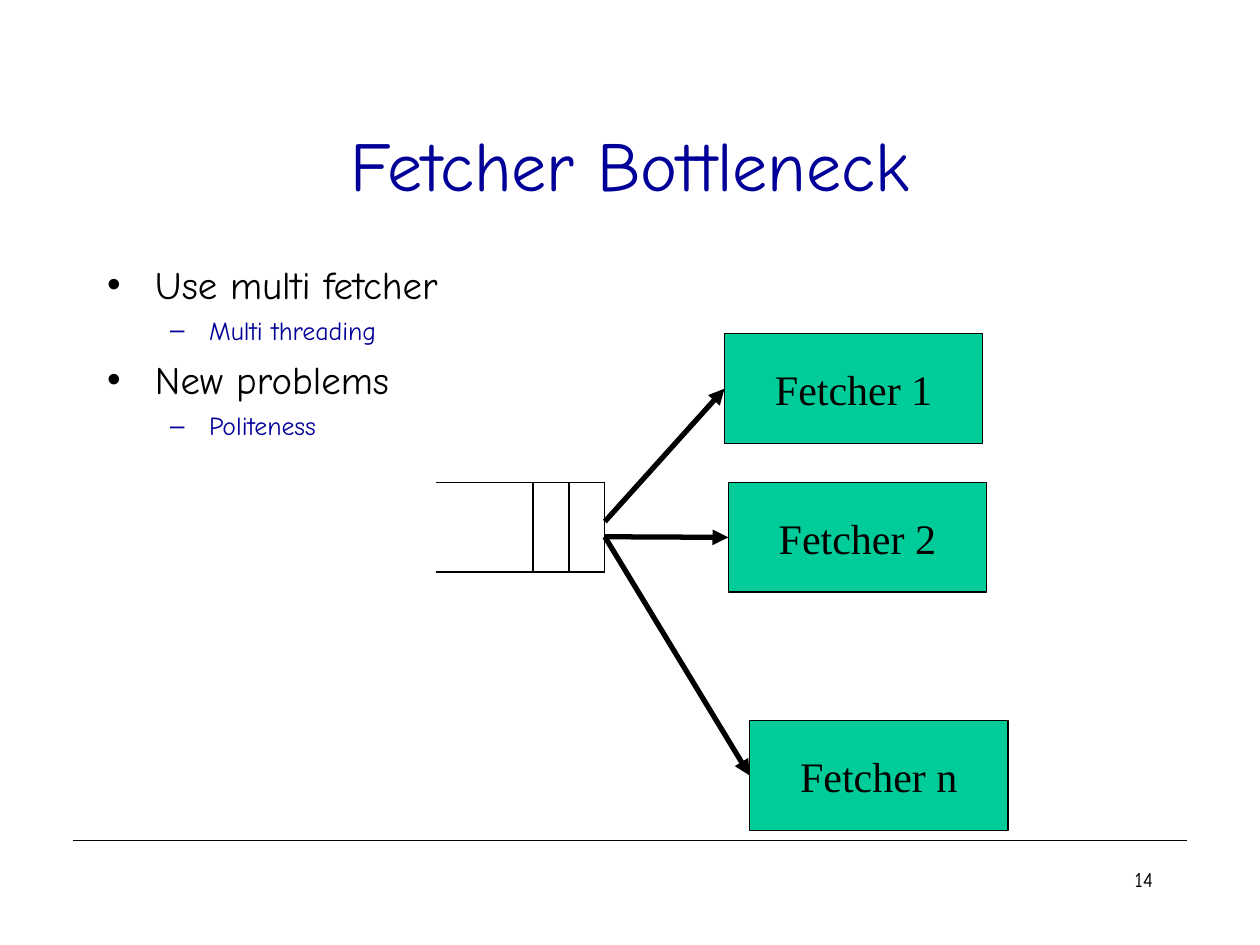
from pptx import Presentation
from pptx.dml.color import RGBColor
from pptx.enum.shapes import MSO_CONNECTOR, MSO_SHAPE
from pptx.enum.text import MSO_ANCHOR, MSO_AUTO_SIZE, PP_ALIGN
from pptx.oxml.ns import qn
from pptx.util import Inches, Pt
from lxml import etree

STRAIGHT = MSO_CONNECTOR.STRAIGHT
RECTANGLE = MSO_SHAPE.RECTANGLE
MIDDLE = MSO_ANCHOR.MIDDLE
NO_AUTOFIT = MSO_AUTO_SIZE.NONE
CENTER, RIGHT = PP_ALIGN.CENTER, PP_ALIGN.RIGHT

BLACK = RGBColor(0x00, 0x00, 0x00)
NAVY = RGBColor(0x00, 0x00, 0x99)
GREEN = RGBColor(0x00, 0xCC, 0x99)
SANS, SERIF = "Comic Neue", "Times New Roman"
THIN, THICK = 0.74, 3

# Per list level: size, colour, space before, left margin, first-line indent
LIST_LEVELS = [(22.2, BLACK, 6, 0.38, -0.38), (14.8, NAVY, 4, 0.81, -0.31)]


def place(shape, box):
    """Move a shape to a (left, top, width, height) box in inches."""
    shape.left, shape.top, shape.width, shape.height = map(Inches, box)


def format_text(paragraph, font_name, size, color, alignment=None):
    """Set the font and alignment of a whole paragraph."""
    paragraph.alignment = alignment
    font = paragraph.font
    font.name, font.size = font_name, Pt(size)
    font.color.rgb = color


def add_line(shapes, start, end, width=THIN, arrow=False):
    """Draw a straight black line, with an arrowhead at its end if asked."""
    line = shapes.add_connector(STRAIGHT, *map(Inches, (*start, *end)))
    line.line.color.rgb = BLACK
    line.line.width = Pt(width)
    if arrow:
        etree.SubElement(line.line._get_or_add_ln(), qn("a:tailEnd"), type="triangle")
    etree.SubElement(line._element.spPr, qn("a:effectLst"))


def add_title(slide, box, text):
    """Fill the title placeholder."""
    title = slide.shapes.title
    place(title, box)
    frame = title.text_frame
    frame.text = text
    frame.vertical_anchor = MIDDLE
    frame.auto_size = NO_AUTOFIT
    format_text(frame.paragraphs[0], SANS, 40, NAVY, CENTER)


def add_list(slide, box, items):
    """Fill the body placeholder with (level, text) items."""
    body = slide.placeholders[1]
    place(body, box)
    frame = body.text_frame
    frame.text = "\n".join(text for _, text in items)
    frame.auto_size = NO_AUTOFIT
    for paragraph, (level, _) in zip(frame.paragraphs, items):
        size, color, space, margin, indent = LIST_LEVELS[level]
        paragraph.level = level
        paragraph.space_before = Pt(space)
        properties = paragraph._p.get_or_add_pPr()
        properties.set("marL", str(Inches(margin)))
        properties.set("indent", str(Inches(indent)))
        format_text(paragraph, SANS, size, color)


def add_queue(shapes, box):
    """Draw a queue open at the left, with two slots at its right end."""
    left, top, width, height = box
    right, bottom = left + width, top + height
    slot = 0.285
    for y in (top, bottom):
        add_line(shapes, (left, y), (right, y))
    for index in range(3):
        x = right - index * slot
        add_line(shapes, (x, top), (x, bottom))


def add_fetcher(shapes, box, label, source):
    """Draw a labelled fetcher box and the arrow that feeds it."""
    left, top, width, height = box
    fetcher = shapes.add_shape(RECTANGLE, *map(Inches, box))
    fetcher.shadow.inherit = False
    fetcher.fill.solid()
    fetcher.fill.fore_color.rgb = GREEN
    fetcher.line.color.rgb = BLACK
    fetcher.line.width = Pt(THIN)
    frame = fetcher.text_frame
    frame.text = label
    frame.word_wrap = False
    frame.vertical_anchor = MIDDLE
    format_text(frame.paragraphs[0], SERIF, 24, BLACK, CENTER)
    add_line(shapes, source, (left, top + height / 2), THICK, arrow=True)


def add_diagram(slide, box):
    """Draw the queue and its fetchers inside the box."""
    left, top, _, _ = box
    shapes = slide.shapes.add_group_shape().shapes
    queue_width = 1.34
    add_queue(shapes, (left, top + 1.18, queue_width, 0.71))
    fetchers = [("Fetcher 1", 2.29, 0, 1.49),
                ("Fetcher 2", 2.32, 1.18, 1.61),
                ("Fetcher n", 2.49, 3.07, 1.61)]
    for label, x, y, source_y in fetchers:
        add_fetcher(shapes, (left + x, top + y, 2.05, 0.87), label,
                    (left + queue_width, top + source_y))


def add_footer(slide, box, number):
    """Draw the rule along the top of the box and the page number below it."""
    left, top, width, _ = box
    add_line(slide.shapes, (left, top), (left + width, top))
    number_box = slide.shapes.add_textbox(
        *map(Inches, (left + 6.59, top + 0.16, 2.08, 0.5)))
    frame = number_box.text_frame
    frame.word_wrap = True
    frame.text = number
    format_text(frame.paragraphs[0], SANS, 12, BLACK, RIGHT)


presentation = Presentation()
presentation.slide_width, presentation.slide_height = Inches(10), Inches(7.5)
slide = presentation.slides.add_slide(presentation.slide_layouts[1])
add_footer(slide, (0.58, 6.67, 8.84, 0.66), "14")
add_title(slide, (0.75, 0.67, 8.5, 1.25), "Fetcher Bottleneck")
add_list(slide, (0.75, 2.02, 8.5, 1.57), [
    (0, "Use multi fetcher"),
    (1, "Multi threading"),
    (0, "New problems"),
    (1, "Politeness"),
])
add_diagram(slide, (3.46, 2.65, 4.54, 3.94))
presentation.save("out.pptx")
